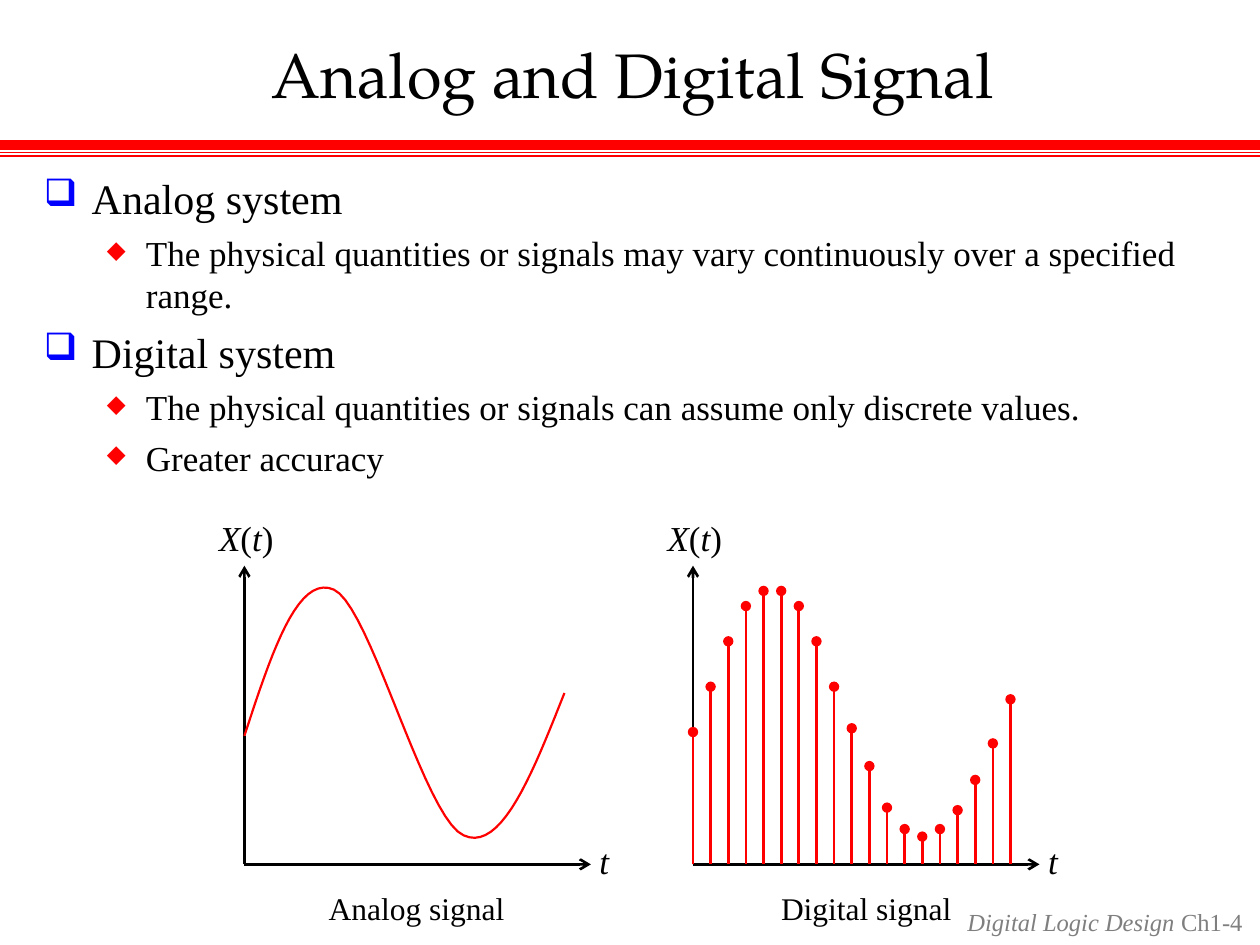
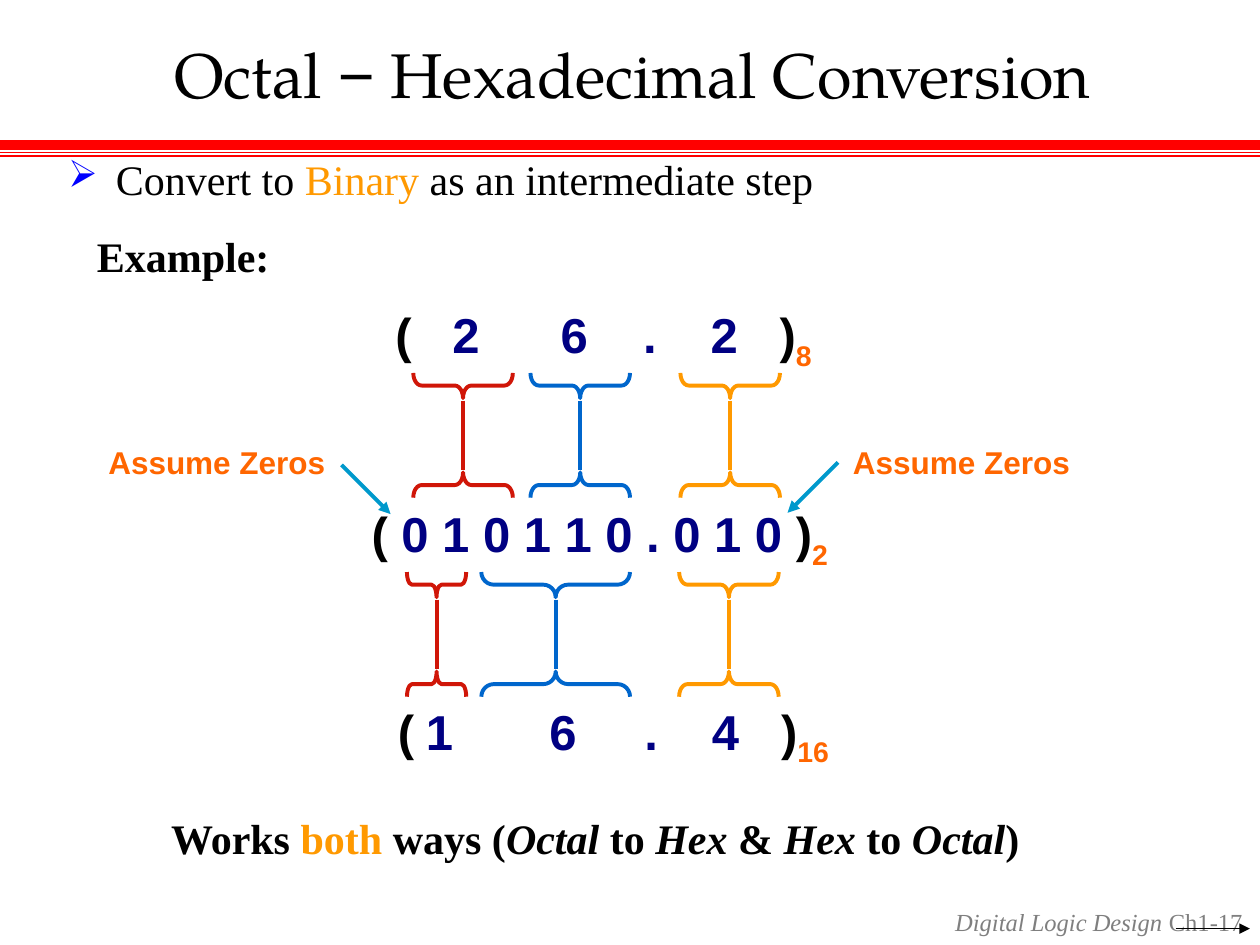
from dataclasses import dataclass
from typing import NamedTuple, Optional, Sequence

from lxml.etree import SubElement
from pptx import Presentation
from pptx.dml.color import RGBColor
from pptx.enum.shapes import MSO_CONNECTOR, MSO_SHAPE
from pptx.enum.text import MSO_ANCHOR, MSO_AUTO_SIZE, PP_ALIGN
from pptx.oxml.ns import qn
from pptx.util import Inches, Pt


@dataclass(frozen=True)
class Theme:
    black: str = "000000"
    white: str = "FFFFFF"
    red: str = "FF0000"
    bullet_blue: str = "0000FF"
    grey: str = "7F7F7F"
    navy: str = "000082"
    orange: str = "FF6600"
    amber: str = "FF9900"
    blue: str = "0066CC"
    crimson: str = "D01608"
    teal: str = "0099CC"
    title_font: str = "TeX Gyre Pagella"
    serif: str = "Times New Roman"
    sans: str = "Arial"
    title_size: int = 36
    number_size: int = 28
    head_size: int = 24
    text_size: int = 20
    label_size: int = 18
    footer_size: int = 14


T = Theme()
INSETS = (0.1, 0.05, 0.1, 0.05)


class Box(NamedTuple):
    left: float
    top: float
    width: float
    height: float


class Point(NamedTuple):
    x: float
    y: float


class Span(NamedTuple):
    text: str
    color: str = T.black
    italic: bool = False
    font: Optional[str] = None
    baseline: int = 0


class Bullet(NamedTuple):
    char: str
    color: str
    percent: int
    margin: float
    hang: float
    space_before: int
    size: int


class Item(NamedTuple):
    bullet: Bullet
    spans: Sequence[Span]


class Plot(NamedTuple):
    axis_x: float
    caption: str
    caption_x: float
    caption_width: float


class Link(NamedTuple):
    """Two facing braces of one width, joined by a vertical spine."""
    left: float
    top: float
    width: float
    color: str


class NumberRow(NamedTuple):
    box: Box
    digits: str
    base: str
    stops: Sequence[float]
    close_stop: float


SQUARE = Bullet("❑", T.bullet_blue, 90, 0.38, 0.38, 6, T.head_size)
DIAMOND = Bullet("◆", T.red, 70, 0.81, 0.31, 5, T.text_size)
ARROWHEAD = Bullet("➢", T.bullet_blue, 90, 0.38, 0.38, 6, T.head_size)

PLOTS = (Plot(1.94, "Analog signal", 2.51, 1.59),
         Plot(5.5, "Digital signal", 6.1, 1.55))
AXIS_Y = 6.86
STEM_STEP = 0.14
STEM_TOPS = (5.81, 5.45, 5.09, 4.81, 4.69, 4.69, 4.81, 5.09, 5.45, 5.78,
             6.08, 6.41, 6.58, 6.64, 6.58, 6.43, 6.19, 5.9, 5.55)
WAVE = ((Point(1.94, 5.84), Point(2.15, 5.2), Point(2.36, 4.55), Point(2.65, 4.68)),
        (Point(2.65, 4.68), Point(2.94, 4.81), Point(3.37, 6.5), Point(3.68, 6.63)),
        (Point(3.68, 6.63), Point(3.98, 6.77), Point(4.23, 6.13), Point(4.48, 5.5)))

BRACE_DEPTH = 0.2
OCTAL_TOP, HEX_TOP = 2.96, 4.54
LINKS = (Link(3.28, OCTAL_TOP, 0.79, T.crimson),
         Link(4.21, OCTAL_TOP, 0.79, T.blue),
         Link(5.4, OCTAL_TOP, 0.79, T.amber),
         Link(3.23, HEX_TOP, 0.47, T.crimson),
         Link(3.82, HEX_TOP, 1.18, T.blue),
         Link(5.39, HEX_TOP, 0.79, T.amber))
OCTAL = NumberRow(Box(3.04, 2.37, 3.5, 0.63), "\t2\t6\t.\t2", "8",
                  (0.56, 1.42, 2.02, 2.61), 3.05)
HEXADECIMAL = NumberRow(Box(3.06, 5.52, 3.62, 0.63), "\t1\t6\t.\t4", "16",
                        (0.33, 1.31, 2.01, 2.6), 3.04)


def rgb(color: str) -> RGBColor:
    return RGBColor.from_string(color)


def set_frame(tf, insets=INSETS, wrap=True) -> None:
    tf.auto_size = MSO_AUTO_SIZE.NONE
    tf.word_wrap = wrap
    tf.margin_left, tf.margin_top, tf.margin_right, tf.margin_bottom = map(Inches, insets)


def write_spans(p, spans: Sequence[Span], font: str, size: int, bold=False) -> None:
    for span in spans:
        r = p.add_run()
        r.text = span.text
        r.font.name = span.font or font
        r.font.size = Pt(size)
        r.font.bold = bold
        r.font.italic = span.italic
        r.font.color.rgb = rgb(span.color)
        if span.baseline:
            r._r.get_or_add_rPr().set("baseline", str(span.baseline * 1000))


def place(sp, box: Box) -> None:
    sp.left, sp.top, sp.width, sp.height = map(Inches, box)


def add_text(slide, box: Box, spans: Sequence[Span], size: int, font=T.serif,
             bold=False, wrap=False, insets=INSETS):
    """Add a one-paragraph text box and return the paragraph."""
    sp = slide.shapes.add_textbox(*map(Inches, box))
    set_frame(sp.text_frame, insets, wrap)
    p = sp.text_frame.paragraphs[0]
    write_spans(p, spans, font, size, bold)
    return p


def set_bullet(p, bullet: Bullet) -> None:
    pPr = p._p.get_or_add_pPr()
    pPr.set("marL", str(Inches(bullet.margin)))
    pPr.set("indent", str(-Inches(bullet.hang)))
    color = SubElement(pPr, qn("a:buClr"))
    SubElement(color, qn("a:srgbClr"), val=bullet.color)
    SubElement(pPr, qn("a:buSzPct"), val=str(bullet.percent * 1000))
    SubElement(pPr, qn("a:buChar"), char=bullet.char)


def add_list(slide, box: Box, items: Sequence[Item], insets=INSETS) -> None:
    sp = slide.shapes.add_textbox(*map(Inches, box))
    tf = sp.text_frame
    set_frame(tf, insets)
    for i, item in enumerate(items):
        p = tf.add_paragraph() if i else tf.paragraphs[0]
        set_bullet(p, item.bullet)
        p.level = 1 if item.bullet is DIAMOND else 0
        if i:
            p.space_before = Pt(item.bullet.space_before)
        write_spans(p, item.spans, T.serif, item.bullet.size)


def add_line(slide, start: Point, end: Point, color: str, width: float,
             tail: Optional[str] = None) -> None:
    ends = map(Inches, (*start, *end))
    cxn = slide.shapes.add_connector(MSO_CONNECTOR.STRAIGHT, *ends)
    cxn.line.color.rgb = rgb(color)
    cxn.line.width = Pt(width)
    if tail:
        SubElement(cxn.line._get_or_add_ln(), qn("a:tailEnd"), type=tail)
    SubElement(cxn._element.spPr, qn("a:effectLst"))


def add_slide(prs, title: Sequence[Span], number: int):
    """Add a slide with the title, red rules and footer that all slides share."""
    slide = prs.slides.add_slide(prs.slide_layouts[5])
    for y, width in ((1.15, 6), (1.21, 1), (1.24, 1)):
        add_line(slide, Point(-0.01, y), Point(10, y), T.red, width)
    sp = slide.shapes.title
    place(sp, Box(0.33, 0.25, 9.38, 0.67))
    set_frame(sp.text_frame, (0, 0, 0, 0))
    sp.text_frame.vertical_anchor = MSO_ANCHOR.MIDDLE
    p = sp.text_frame.paragraphs[0]
    p.alignment = PP_ALIGN.CENTER
    write_spans(p, title, T.title_font, T.title_size)
    footer = (Span("Digital Logic Design ", T.grey, True), Span("Ch1", T.grey),
              Span("-", T.grey, True), Span(str(number), T.grey))
    p = add_text(slide, Box(7.45, 7.15, 2.51, 0.34), footer, T.footer_size, wrap=True)
    p.alignment = PP_ALIGN.RIGHT
    return slide


def draw_plot(slide, plot: Plot) -> None:
    x = plot.axis_x
    add_line(slide, Point(x, AXIS_Y), Point(x, 4.49), T.black, 1.5, "arrow")
    add_line(slide, Point(x, AXIS_Y), Point(x + 2.75, AXIS_Y), T.black, 1.5, "arrow")
    add_text(slide, Box(x - 0.3, 4.05, 0.63, 0.44),
             (Span("X", italic=True), Span("("), Span("t", italic=True), Span(")")),
             T.text_size)
    add_text(slide, Box(x + 2.72, 6.61, 0.27, 0.44), (Span("t", italic=True),), T.text_size)
    add_text(slide, Box(plot.caption_x, 7.01, plot.caption_width, 0.4),
             (Span(plot.caption),), T.label_size)


def bezier_point(curve: Sequence[Point], t: float) -> Point:
    weights = ((1 - t) ** 3, 3 * t * (1 - t) ** 2, 3 * t * t * (1 - t), t ** 3)
    return Point(sum(w * c.x for w, c in zip(weights, curve)),
                 sum(w * c.y for w, c in zip(weights, curve)))


def draw_wave(slide, steps: int = 20) -> None:
    points = [bezier_point(curve, i / steps) for curve in WAVE for i in range(1, steps + 1)]
    start = WAVE[0][0]
    builder = slide.shapes.build_freeform(Inches(start.x), Inches(start.y))
    builder.add_line_segments([(Inches(x), Inches(y)) for x, y in points], close=False)
    sp = builder.convert_to_shape()
    sp.shadow.inherit = False
    sp.fill.solid()
    sp.fill.fore_color.rgb = rgb(T.white)
    sp.line.color.rgb = rgb(T.red)
    sp.line.width = Pt(1.25)


def draw_brace(slide, link: Link, top: float, rotation: int) -> None:
    """Draw a brace whose tip points down (rotation 270) or up (90)."""
    box = Box(link.left + (link.width - BRACE_DEPTH) / 2,
              top + (BRACE_DEPTH - link.width) / 2, BRACE_DEPTH, link.width)
    sp = slide.shapes.add_shape(MSO_SHAPE.LEFT_BRACE, *map(Inches, box))
    sp.rotation = rotation
    sp.adjustments[0] = link.width / 12 / BRACE_DEPTH
    sp.shadow.inherit = False
    sp.fill.background()
    sp.line.color.rgb = rgb(link.color)
    sp.line.width = Pt(2.25)


def draw_link(slide, link: Link) -> None:
    draw_brace(slide, link, link.top, 270)
    draw_brace(slide, link, link.top + 0.79, 90)
    x = link.left + link.width / 2
    add_line(slide, Point(x, link.top + 0.22), Point(x, link.top + 0.77), link.color, 2.25)


def draw_number(slide, row: NumberRow) -> None:
    spans = (Span("("), Span(row.digits, T.navy), Span("\t)"),
             Span(row.base, T.orange, baseline=-25))
    p = add_text(slide, row.box, spans, T.number_size, T.sans, True, True, (0.1, 0.05, 0, 0.05))
    tabs = SubElement(p._p.get_or_add_pPr(), qn("a:tabLst"))
    for stop in row.stops:
        SubElement(tabs, qn("a:tab"), pos=str(Inches(stop)), algn="ctr")
    SubElement(tabs, qn("a:tab"), pos=str(Inches(row.close_stop)), algn="l")


def build_signals(prs) -> None:
    slide = add_slide(prs, (Span("Analog and Digital Signal"),), 4)
    lines = ((SQUARE, "Analog system"),
             (DIAMOND, "The physical quantities or signals may vary continuously "
                       "over a specified range."),
             (SQUARE, "Digital system"),
             (DIAMOND, "The physical quantities or signals can assume only discrete values."),
             (DIAMOND, "Greater accuracy"))
    add_list(slide, Box(0.25, 1.32, 9.37, 5.69),
             [Item(bullet, (Span(text),)) for bullet, text in lines])
    for plot in PLOTS:
        draw_plot(slide, plot)
    draw_wave(slide)
    for i, top in enumerate(STEM_TOPS):
        x = PLOTS[1].axis_x + i * STEM_STEP
        add_line(slide, Point(x, AXIS_Y), Point(x, top), T.red, 1.5, "oval")


def build_conversion(prs) -> None:
    slide = add_slide(prs, (Span("Octal "), Span("−", font=T.sans),
                            Span(" Hexadecimal Conversion")), 17)
    add_line(slide, Point(9.33, 7.37), Point(9.92, 7.37), T.black, 0.75, "triangle")
    step = (Span("Convert to "), Span("Binary", T.amber), Span(" as an intermediate step"))
    add_list(slide, Box(0.47, 1.19, 9.25, 0.46), [Item(ARROWHEAD, step)],
             (0.07, 0.03, 0.07, 0.03))
    add_text(slide, Box(0.67, 1.78, 1.57, 0.5), (Span("Example:"),), T.head_size, bold=True)
    draw_number(slide, OCTAL)
    add_text(slide, Box(2.85, 3.95, 3.82, 0.63),
             (Span("( "), Span("0 1 0 1 1 0 . 0 1 0 ", T.navy), Span(")"),
              Span("2", T.orange, baseline=-25)), T.number_size, T.sans, True)
    draw_number(slide, HEXADECIMAL)
    for link in LINKS:
        draw_link(slide, link)
    for left, start, end in ((0.86, Point(2.71, 3.69), Point(3.1, 4.08)),
                             (6.77, Point(6.65, 3.67), Point(6.25, 4.07))):
        add_line(slide, start, end, T.teal, 2.25, "triangle")
        p = add_text(slide, Box(left, 3.55, 1.97, 0.27), (Span("Assume Zeros", T.orange),),
                     T.label_size, T.sans, True, True, (0, 0, 0, 0))
        p.line_spacing = 0.9
    add_text(slide, Box(1.26, 6.4, 7.88, 0.5),
             (Span("Works "), Span("both", T.amber), Span(" ways ("),
              Span("Octal", italic=True), Span(" to "), Span("Hex", italic=True),
              Span(" & "), Span("Hex ", italic=True), Span("to "),
              Span("Octal", italic=True), Span(")")), T.head_size, bold=True, wrap=True)


def main() -> None:
    prs = Presentation()
    prs.slide_width, prs.slide_height = Inches(10), Inches(7.5)
    build_signals(prs)
    build_conversion(prs)
    prs.save("out.pptx")


if __name__ == "__main__":
    main()
